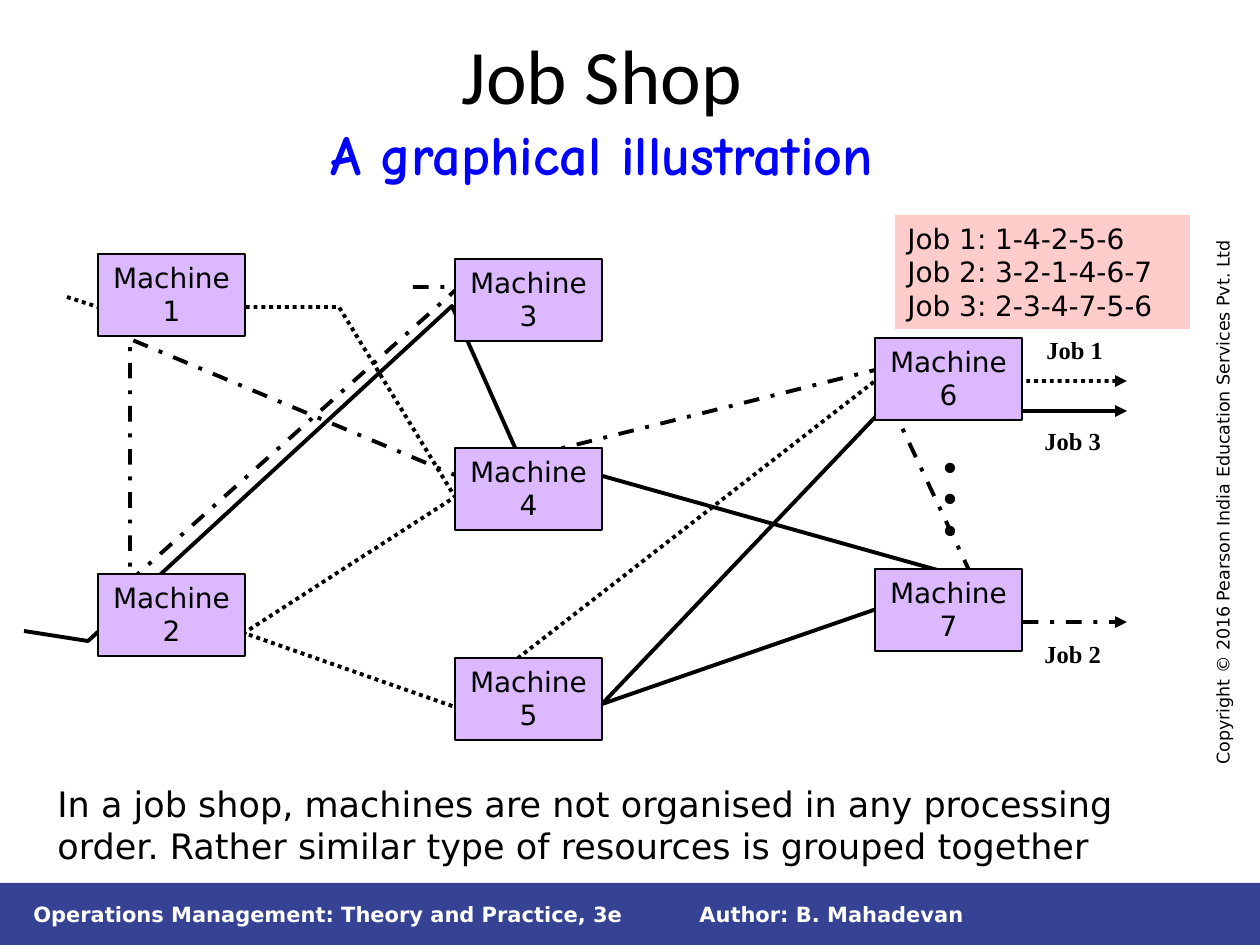
from dataclasses import dataclass

from lxml.etree import SubElement
from pptx import Presentation
from pptx.dml.color import RGBColor
from pptx.enum.shapes import MSO_SHAPE
from pptx.enum.text import MSO_ANCHOR, PP_ALIGN
from pptx.oxml.ns import qn
from pptx.util import Pt

PX = 914400 / 126


@dataclass(frozen=True)
class Theme:
    """Colours and type styles of the slide."""

    ink: str = "000000"
    white: str = "FFFFFF"
    subtitle_blue: str = "0000FF"
    footer_blue: str = "364395"
    machine_lilac: str = "DCB9FF"
    routing_pink: str = "FFCCCC"
    title = {"name": "Calibri", "size": Pt(44), "bold": False}
    subtitle = {"name": "Comic Neue", "size": Pt(32), "bold": True}
    body = {"name": "DejaVu Sans", "size": Pt(20), "bold": False}
    box = {"name": "DejaVu Sans", "size": Pt(16), "bold": False}
    footer = {"name": "DejaVu Sans", "size": Pt(12), "bold": True}
    copyright = {"name": "DejaVu Sans", "size": Pt(10), "bold": False}
    job = {"name": "Times New Roman", "size": Pt(14), "bold": True}
    dots = {"name": "Times New Roman", "size": Pt(36), "bold": True}


THEME = Theme()

MACHINE_SIZE = (147, 82)
MACHINE_COLUMNS = {
    98: {1: 254, 2: 574},
    455: {3: 259, 4: 448, 5: 658},
    875: {6: 338, 7: 569},
}

JOB_ROUTES = [
    ("dashDot", [(413, 287), (459, 287), (130, 581), (130, 339), (455, 475),
                 (875, 370), (969, 570), (1022, 622), (1127, 622)]),
    ("solid", [(24, 631), (88, 641), (452, 306), (517, 452), (966, 578),
               (602, 704), (881, 411), (1127, 411)]),
    ("sysDot", [(67, 297), (98, 307), (339, 307), (455, 497), (244, 633),
                (455, 707), (875, 381), (1127, 381)]),
]

JOB_LABELS = {"Job 1": (1034, 329), "Job 2": (1032, 633), "Job 3": (1032, 420)}

ROUTINGS = ["Job 1: 1-4-2-5-6", "Job 2: 3-2-1-4-6-7", "Job 3: 2-3-4-7-5-6"]


def emu(*lengths):
    """Turn px lengths into EMU."""
    return [round(length * PX) for length in lengths]


def apply_format(target, values):
    """Set each named attribute on the target."""
    for name, value in values.items():
        setattr(target, name, value)


def style_font(font, style, color):
    """Give a font its type style and colour."""
    apply_format(font, style)
    font.color.rgb = RGBColor.from_string(color)


def write_lines(frame, lines, style, color=THEME.ink, align=PP_ALIGN.LEFT,
                anchor=MSO_ANCHOR.TOP):
    """Fill a text frame with one paragraph per line."""
    apply_format(frame, {"word_wrap": True, "vertical_anchor": anchor})
    frame.text = "\n".join(lines)
    for paragraph in frame.paragraphs:
        paragraph.alignment = align
        style_font(paragraph.font, style, color)


def add_label(slide, text, bounds, style, rotation=0, **text_format):
    """Add a single text box, turned if needed."""
    label = slide.shapes.add_textbox(*emu(*bounds))
    label.rotation = rotation
    write_lines(label.text_frame, [text], style, **text_format)


def add_panel(slide, bounds, fill, outline=None):
    """Add a flat rectangle and return it."""
    panel = slide.shapes.add_shape(MSO_SHAPE.RECTANGLE, *emu(*bounds))
    panel.shadow.inherit = False
    panel.fill.solid()
    panel.fill.fore_color.rgb = RGBColor.from_string(fill)
    if outline:
        panel.line.color.rgb = RGBColor.from_string(outline)
        panel.line.width = Pt(0.75)
    else:
        panel.line.fill.background()
    return panel


def add_machine(slide, number, left, top):
    """Add one numbered machine box."""
    machine = add_panel(slide, (left, top, *MACHINE_SIZE),
                        THEME.machine_lilac, THEME.ink)
    write_lines(machine.text_frame, [f"Machine {number}"], THEME.box,
                align=PP_ALIGN.CENTER)


def add_route(slide, dash, stops):
    """Draw one job's route as an open path ending in an arrowhead."""
    builder = slide.shapes.build_freeform(*stops[0], scale=PX)
    builder.add_line_segments(stops[1:], close=False)
    route = builder.convert_to_shape()
    route.shadow.inherit = False
    route.fill.background()
    route.line.color.rgb = RGBColor.from_string(THEME.ink)
    route.line.width = Pt(2.25)
    outline = route._element.spPr.find(qn("a:ln"))
    SubElement(outline, qn("a:prstDash"), val=dash)
    SubElement(outline, qn("a:tailEnd"), type="triangle")


def add_heading(slide):
    """Add the title with its subtitle on the next line."""
    heading = slide.shapes.add_textbox(*emu(35, 21, 1134, 158))
    heading.text_frame.word_wrap = True
    paragraph = heading.text_frame.paragraphs[0]
    paragraph.alignment = PP_ALIGN.CENTER
    title = paragraph.add_run()
    title.text = "Job Shop"
    style_font(title.font, THEME.title, THEME.ink)
    paragraph.add_line_break()
    subtitle = paragraph.add_run()
    subtitle.text = "A graphical illustration"
    style_font(subtitle.font, THEME.subtitle, THEME.subtitle_blue)


def add_footer(slide):
    """Add the footer band, its two texts and the upright copyright line."""
    add_panel(slide, (0, 883, 1260, 62), THEME.footer_blue)
    footer_texts = {
        "Author: B. Mahadevan": (687, 895, 560, 38),
        "Operations Management: Theory and Practice, 3e": (21, 895, 630, 38),
    }
    for text, bounds in footer_texts.items():
        add_label(slide, text, bounds, THEME.footer, color=THEME.white,
                  anchor=MSO_ANCHOR.MIDDLE)
    add_label(slide, "Copyright © 2016 Pearson India Education Services Pvt. Ltd",
              (939, 476, 568, 34), THEME.copyright, rotation=270)


def main():
    """Build the job shop slide."""
    deck = Presentation()
    deck.slide_width, deck.slide_height = emu(1260, 945)
    slide = deck.slides.add_slide(deck.slide_layouts[6])
    add_footer(slide)
    for dash, stops in JOB_ROUTES:
        add_route(slide, dash, stops)
    add_heading(slide)
    for left, machines in MACHINE_COLUMNS.items():
        for number, top in machines.items():
            add_machine(slide, number, left, top)
    add_label(slide, ". . .", (911, 464, 120, 88), THEME.dots, rotation=90)
    for job, corner in JOB_LABELS.items():
        add_label(slide, job, (*corner, 84, 42), THEME.job)
    add_label(slide, "In a job shop, machines are not organised in any processing "
              "order. Rather similar type of resources is grouped together",
              (45, 776, 1105, 97), THEME.body)
    routing_panel = add_panel(slide, (895, 215, 295, 114), THEME.routing_pink)
    write_lines(routing_panel.text_frame, ROUTINGS, THEME.box)
    deck.save("out.pptx")


if __name__ == "__main__":
    main()
